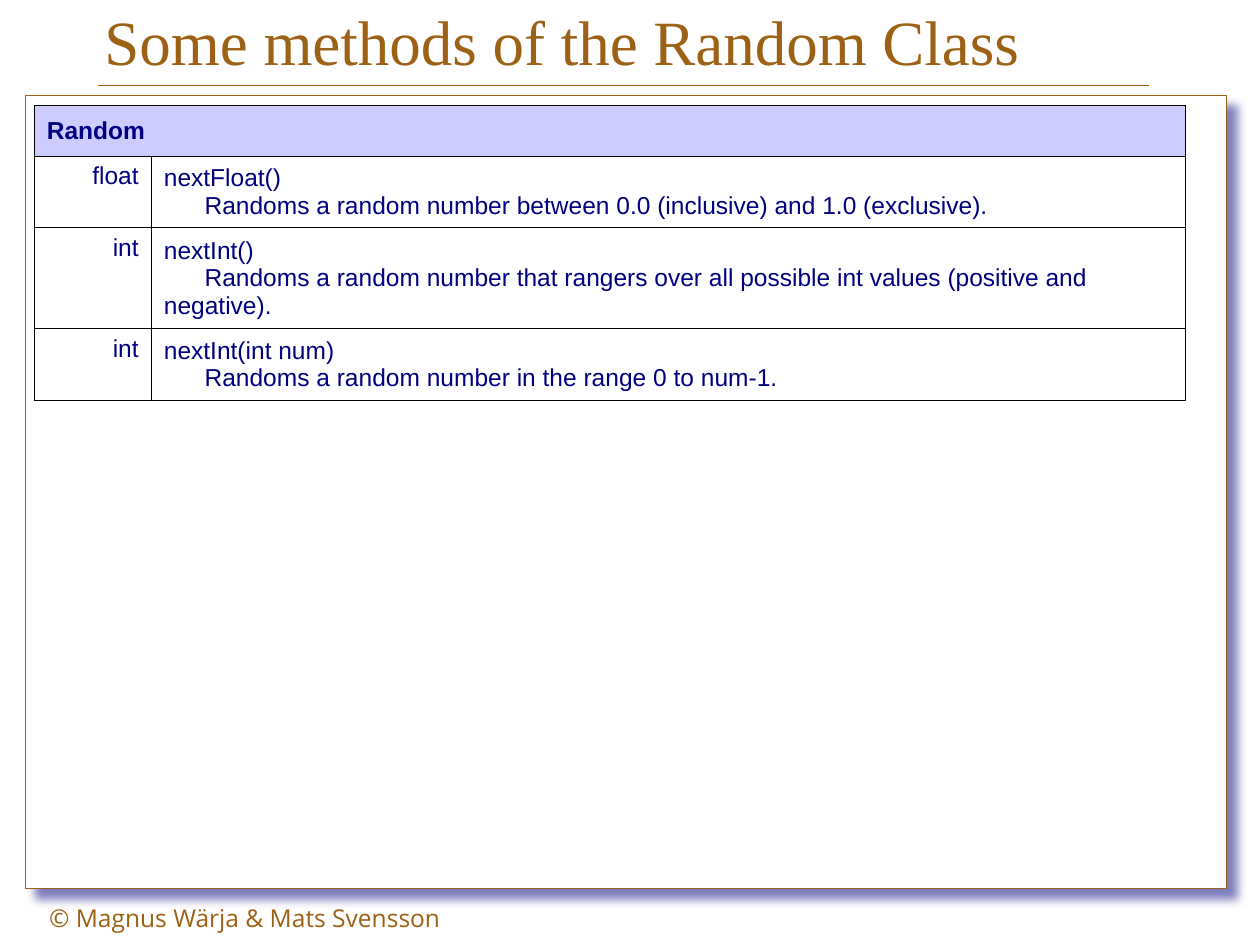
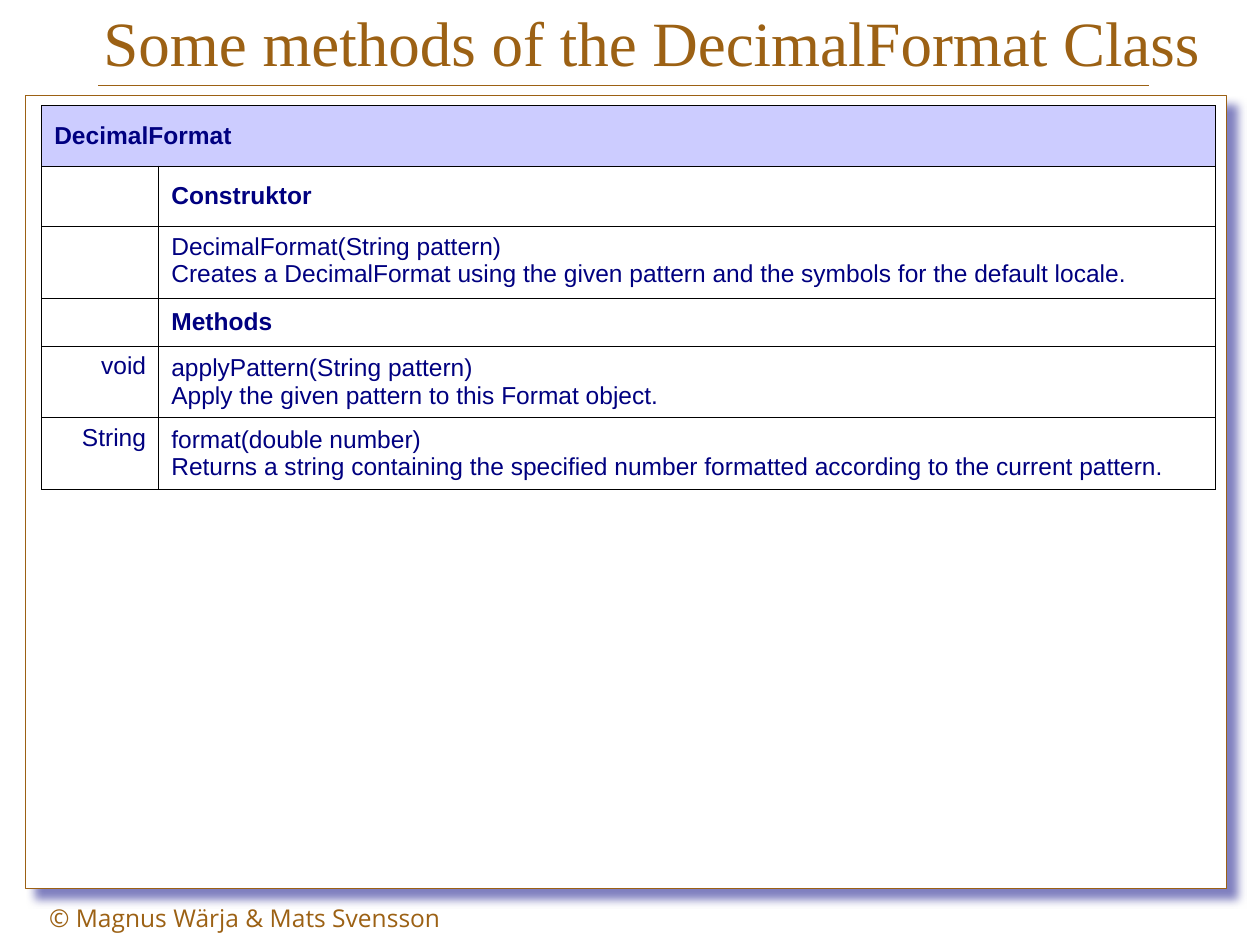
from dataclasses import dataclass

from lxml.etree import SubElement
from pptx import Presentation
from pptx.dml.color import RGBColor
from pptx.enum.shapes import MSO_CONNECTOR as Connector, MSO_SHAPE as Preset
from pptx.enum.text import MSO_ANCHOR as Anchor, MSO_AUTO_SIZE as AutoSize, PP_ALIGN as Align
from pptx.oxml.ns import qn
from pptx.util import Cm, Pt

COLORS = {
    "brown": "9C6114",
    "navy": "000080",
    "lavender": "CCCCFF",
    "white": "FFFFFF",
    "black": "000000",
}
TITLE_ONLY = 5
TABLE_TOP = 2.13
TYPE_WIDTH = 2.36
DETAIL_INDENT = 0.82
TEXT_SIZE = 14
RULE_WIDTH = 0.75


@dataclass
class Entry:
    height: float
    result: str
    text: str
    bold: bool = False
    anchor: Anchor = Anchor.MIDDLE


@dataclass
class ClassPage:
    title: str
    title_box: tuple[float, float, float, float]
    class_name: str
    header_height: float
    table_left: float
    text_width: float
    entries: list[Entry]


PAGES = [
    ClassPage(
        "Some methods of the Random Class", (1.85, 0.3, 21.46, 1.4),
        "Random", 1.02, 0.69, 20.85,
        [
            Entry(1.35, "float", "nextFloat()\nRandoms a random number between 0.0 (inclusive) and 1.0 (exclusive)."),
            Entry(1.19, "int", "nextInt()\nRandoms a random number that rangers over all possible int values "
                               "(positive and negative)."),
            Entry(1.19, "int", "nextInt(int num)\nRandoms a random number in the range 0 to num-1."),
        ],
    ),
    ClassPage(
        "Some methods of the DecimalFormat Class", (1.83, -0.03, 23.57, 1.75),
        "DecimalFormat", 1.22, 0.84, 21.31,
        [
            Entry(1.22, "", "Construktor", bold=True),
            Entry(1.42, "", "DecimalFormat(String pattern)\vCreates a DecimalFormat using the given pattern "
                            "and the symbols for the default locale.", anchor=Anchor.TOP),
            Entry(0.97, "", "Methods", bold=True),
            Entry(1.42, "void", "applyPattern(String pattern)\vApply the given pattern to this Format object."),
            Entry(1.42, "String", "format(double number)\vReturns a string containing the specified number "
                                  "formatted according to the current pattern."),
        ],
    ),
]


def rgb(name: str) -> RGBColor:
    return RGBColor.from_string(COLORS[name])


def format_text(frame, font: str, size: float, color: str, bold: bool = False, align: Align = Align.LEFT) -> None:
    for para in frame.paragraphs:
        para.alignment = align
        for span in para.runs:
            span.font.name = font
            span.font.size = Pt(size)
            span.font.bold = bold
            span.font.color.rgb = rgb(color)


def add_color(parent, name: str):
    return SubElement(parent, qn("a:srgbClr"), val=COLORS[name])


def add_shadow(panel) -> None:
    effects = SubElement(panel._element.spPr, qn("a:effectLst"))
    shadow = SubElement(effects, qn("a:outerShdw"), blurRad=str(Pt(5)), dist=str(Pt(8.5)),
                        dir=str(45 * 60000), algn="ctr", rotWithShape="0")
    SubElement(add_color(shadow, "navy"), qn("a:alpha"), val="50000")


def add_frame(page) -> None:
    rule = page.shapes.add_connector(Connector.STRAIGHT, Cm(1.98), Cm(1.73), Cm(23.16), Cm(1.73))
    SubElement(rule._element.spPr, qn("a:effectLst"))
    panel = page.shapes.add_shape(Preset.RECTANGLE, Cm(0.51), Cm(1.93), Cm(24.21), Cm(15.98))
    panel.fill.solid()
    panel.fill.fore_color.rgb = rgb("white")
    for outlined in (rule, panel):
        outlined.line.color.rgb = rgb("brown")
        outlined.line.width = Pt(RULE_WIDTH)
    add_shadow(panel)

    footer = page.shapes.add_textbox(Cm(0.74), Cm(18.08), Cm(8.99), Cm(0.86)).text_frame
    footer.word_wrap = True
    footer.auto_size = AutoSize.SHAPE_TO_FIT_TEXT
    footer.text = "© Magnus Wärja & Mats Svensson"
    format_text(footer, "Open Sans", TEXT_SIZE, "brown")


def set_title(page, content: ClassPage) -> None:
    title = page.shapes.title
    title.left, title.top, title.width, title.height = map(Cm, content.title_box)
    frame = title.text_frame
    frame.text = content.title
    frame.word_wrap = True
    frame.auto_size = AutoSize.NONE
    frame.vertical_anchor = Anchor.BOTTOM
    format_text(frame, "Times New Roman", 36, "brown")


def style_cell(cell, fill: str) -> None:
    properties = cell._tc.get_or_add_tcPr()
    for side in ("lnL", "lnR", "lnT", "lnB"):
        border = SubElement(properties, qn(f"a:{side}"), w=str(Pt(RULE_WIDTH)))
        add_color(SubElement(border, qn("a:solidFill")), "black")
    cell.fill.solid()
    cell.fill.fore_color.rgb = rgb(fill)


def write_cell(cell, text: str, bold: bool = False, align: Align = Align.LEFT,
               anchor: Anchor = Anchor.MIDDLE) -> None:
    cell.text_frame.text = text
    cell.vertical_anchor = anchor
    format_text(cell.text_frame, "Arial", TEXT_SIZE, "navy", bold, align)
    for para in cell.text_frame.paragraphs:
        para._p.get_or_add_endParaRPr().set("sz", str(TEXT_SIZE * 100))
    for detail in cell.text_frame.paragraphs[1:]:
        detail._p.get_or_add_pPr().set("indent", str(Cm(DETAIL_INDENT)))


def add_method_table(page, content: ClassPage) -> None:
    widths = [TYPE_WIDTH, content.text_width]
    heights = [content.header_height] + [entry.height for entry in content.entries]
    table = page.shapes.add_table(len(heights), len(widths), Cm(content.table_left), Cm(TABLE_TOP),
                                  Cm(sum(widths)), Cm(sum(heights))).table
    for column, width in zip(table.columns, widths):
        column.width = Cm(width)
    for index, (row, height) in enumerate(zip(table.rows, heights)):
        row.height = Cm(height)
        for cell in row.cells:
            style_cell(cell, "white" if index else "lavender")

    table.cell(0, 0).merge(table.cell(0, 1))
    write_cell(table.cell(0, 0), content.class_name, bold=True)
    for index, entry in enumerate(content.entries, start=1):
        write_cell(table.cell(index, 0), entry.result, align=Align.RIGHT, anchor=Anchor.TOP)
        write_cell(table.cell(index, 1), entry.text, entry.bold, anchor=entry.anchor)


def main() -> None:
    deck = Presentation()
    deck.slide_width, deck.slide_height = Cm(25.4), Cm(19.05)
    for content in PAGES:
        page = deck.slides.add_slide(deck.slide_layouts[TITLE_ONLY])
        add_frame(page)
        set_title(page, content)
        add_method_table(page, content)
    deck.save("out.pptx")


if __name__ == "__main__":
    main()
